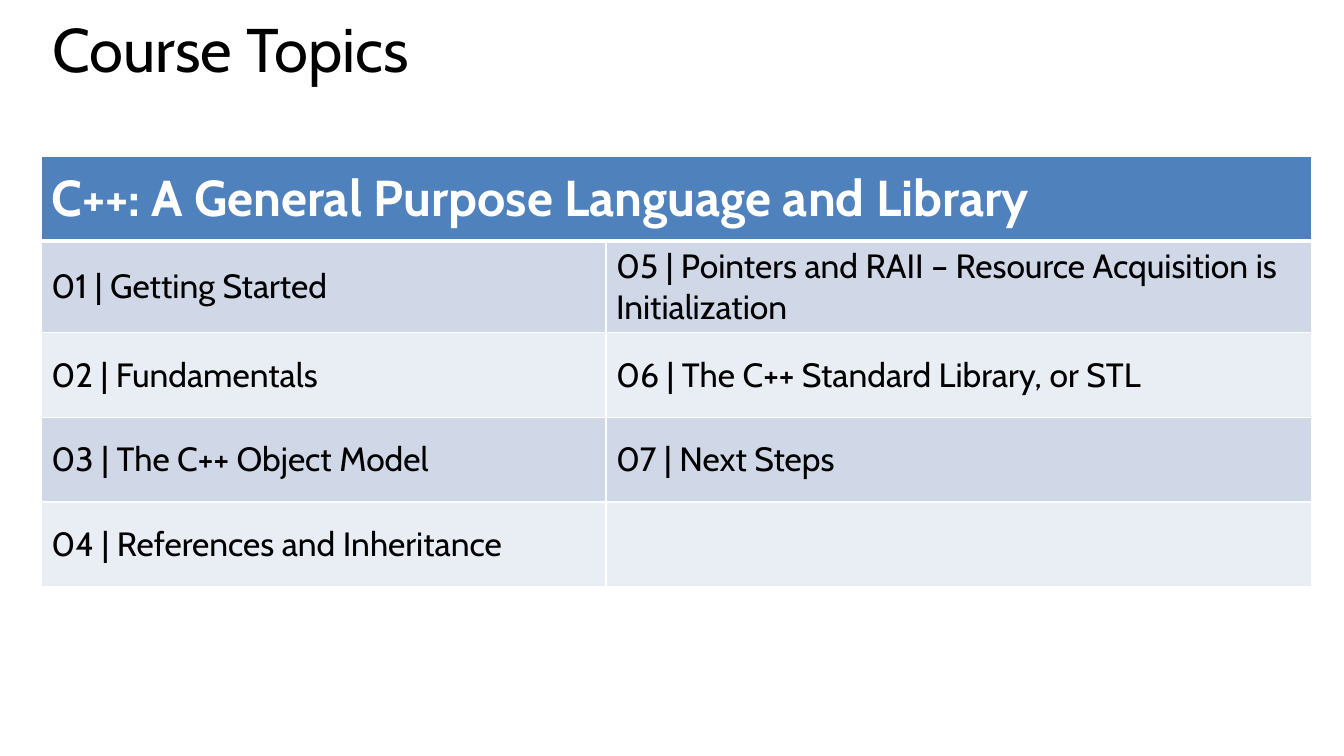
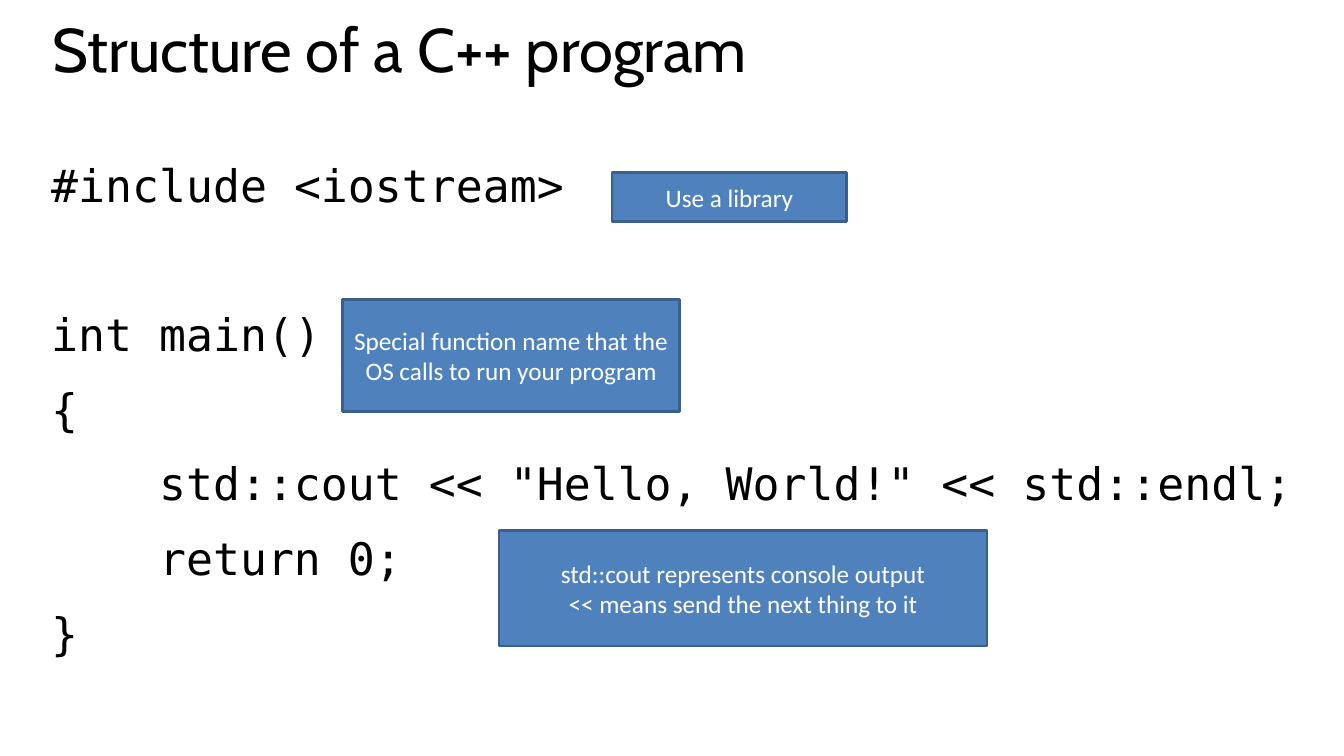
from dataclasses import dataclass

from lxml.etree import SubElement
from pptx import Presentation
from pptx.dml.color import RGBColor
from pptx.enum.shapes import MSO_SHAPE
from pptx.enum.text import MSO_ANCHOR, MSO_AUTO_SIZE, PP_ALIGN
from pptx.oxml.ns import qn
from pptx.util import Inches, Pt


@dataclass(frozen=True)
class Theme:
    """Colours, fonts and type sizes shared by the slides."""
    ink: str = "000000"
    paper: str = "FFFFFF"
    accent: str = "4F81BD"
    accent_edge: str = "3A5F8C"
    bands: tuple = ("D0D8E8", "E9EDF4")
    heading_font: str = "Cabin"
    code_font: str = "DejaVu Sans Mono"
    callout_font: str = "Calibri"
    title_size: int = 44
    header_size: int = 36
    code_size: int = 32
    topic_size: int = 24
    callout_size: int = 18


THEME = Theme()
TITLE_BOX = (0.42, 0.2, 12.6, 1.16)
TOPICS_BOX = (0.41, 1.55, 12.6, 4.2)
CODE_BOX = (0.41, 1.52, 12.6, 5.79)
TOPICS_HEADER = "C++: A General Purpose Language and Library"
TOPICS = [
    ("01 | Getting Started",
     "05 | Pointers and RAII – Resource Acquisition is Initialization"),
    ("02 | Fundamentals", "06 | The C++ Standard Library, or STL"),
    ("03 | The C++ Object Model", "07 | Next Steps"),
    ("04 | References and Inheritance", ""),
]
# Each line of code: text, indent level, blank lines above it
CODE = [
    ("#include <iostream>", 0, 0),
    ("int main()", 0, 1),
    ("{", 0, 0),
    ('std::cout << "Hello, World!" << std::endl;', 1, 0),
    ("return 0;", 1, 0),
    ("}", 0, 0),
]
CODE_INDENT = Inches(1.07)
CODE_GAP, CODE_PITCH = 15, 52.5
# Each callout: text, box within the code area
CALLOUTS = [
    ("Use a library", (5.66, 0.19, 2.33, 0.49)),
    ("Special function name that the OS calls to run your program",
     (2.99, 1.45, 3.34, 1.11)),
    ("std::cout represents console output\v<< means send the next thing to it",
     (4.54, 3.74, 4.84, 1.15)),
]


def rgb(colour):
    """Return the colour object for a hex string."""
    return RGBColor.from_string(colour)


def style_text(frame, font_name, size, colour, bold=False, align=PP_ALIGN.LEFT):
    """Format every run in a text frame alike."""
    for paragraph in frame.paragraphs:
        paragraph.alignment = align
        for run in paragraph.runs:
            font = run.font
            font.name, font.size, font.bold = font_name, Pt(size), bold
            font.color.rgb = rgb(colour)


def set_borders(cell, bottom_width):
    """Draw light rules round a cell, with its own bottom weight."""
    properties = cell._tc.get_or_add_tcPr()
    widths = {"a:lnL": 1, "a:lnR": 1, "a:lnT": 1, "a:lnB": bottom_width}
    for position, (side, width) in enumerate(widths.items()):
        rule = properties.makeelement(qn(side), {"w": str(Pt(width))})
        fill = SubElement(rule, qn("a:solidFill"))
        SubElement(fill, qn("a:srgbClr"), val=THEME.paper)
        properties.insert(position, rule)


def add_titled_slide(deck, heading):
    """Add a title-only slide with the shared title style."""
    slide = deck.slides.add_slide(deck.slide_layouts[5])
    slide.background.fill.solid()
    slide.background.fill.fore_color.rgb = rgb(THEME.paper)
    title = slide.shapes.title
    title.left, title.top, title.width, title.height = map(Inches, TITLE_BOX)
    frame = title.text_frame
    frame.text = heading
    frame.vertical_anchor = MSO_ANCHOR.TOP
    frame.auto_size = MSO_AUTO_SIZE.NONE
    frame.paragraphs[0].line_spacing = 0.8
    style_text(frame, THEME.heading_font, THEME.title_size, THEME.ink)
    return slide


def fill_cell(cell, text, size, colour, fill, bold=False, bottom_width=1):
    """Write and format one table cell."""
    cell.text = text
    cell.vertical_anchor = MSO_ANCHOR.MIDDLE
    cell.fill.solid()
    cell.fill.fore_color.rgb = rgb(fill)
    style_text(cell.text_frame, THEME.heading_font, size, colour, bold)
    set_borders(cell, bottom_width)


def add_topics(slide, box):
    """Lay out the banded table of topics under a merged header."""
    left, top, width, height = map(Inches, box)
    row_count = len(TOPICS) + 1
    table = slide.shapes.add_table(row_count, 2, left, top, width, height).table
    table.columns[0].width = Inches(5.6)
    table.columns[1].width = width - Inches(5.6)
    for cell in table.rows[0].cells:
        fill_cell(cell, "", THEME.header_size, THEME.paper, THEME.accent,
                  bottom_width=3)
    header = table.cell(0, 0)
    header.merge(table.cell(0, 1))
    header.text = TOPICS_HEADER
    style_text(header.text_frame, THEME.heading_font, THEME.header_size,
               THEME.paper, bold=True)
    for row, topics in enumerate(TOPICS):
        band = THEME.bands[row % len(THEME.bands)]
        for column, topic in enumerate(topics):
            fill_cell(table.cell(row + 1, column), topic, THEME.topic_size,
                      THEME.ink, band)


def add_code(slide, box):
    """Write the program, one paragraph to a line."""
    listing = slide.shapes.add_textbox(*map(Inches, box)).text_frame
    listing.word_wrap = True
    listing.text = "\n".join(text for text, _, _ in CODE)
    for paragraph, (_, level, blanks) in zip(listing.paragraphs, CODE):
        paragraph.space_before = Pt(CODE_GAP + blanks * CODE_PITCH)
        paragraph._p.get_or_add_pPr().set("marL", str(level * CODE_INDENT))
    style_text(listing, THEME.code_font, THEME.code_size, THEME.ink)


def add_callouts(slide, box):
    """Place the explanatory boxes relative to the code area."""
    for text, (x, y, width, height) in CALLOUTS:
        callout = slide.shapes.add_shape(
            MSO_SHAPE.RECTANGLE, Inches(box[0] + x), Inches(box[1] + y),
            Inches(width), Inches(height))
        callout.shadow.inherit = False
        callout.fill.solid()
        callout.fill.fore_color.rgb = rgb(THEME.accent)
        callout.line.color.rgb = rgb(THEME.accent_edge)
        callout.line.width = Pt(2)
        frame = callout.text_frame
        frame.text = text
        frame.word_wrap = True
        frame.vertical_anchor = MSO_ANCHOR.MIDDLE
        style_text(frame, THEME.callout_font, THEME.callout_size, THEME.paper,
                   align=PP_ALIGN.CENTER)


def build_topics_slide(deck):
    """Build the overview of the course."""
    slide = add_titled_slide(deck, "Course Topics")
    add_topics(slide, TOPICS_BOX)


def build_program_slide(deck):
    """Build the annotated first program."""
    slide = add_titled_slide(deck, "Structure of a C++ program")
    add_code(slide, CODE_BOX)
    add_callouts(slide, CODE_BOX)


def main():
    """Build and save the presentation."""
    deck = Presentation()
    deck.slide_width, deck.slide_height = Inches(13.33), Inches(7.5)
    build_topics_slide(deck)
    build_program_slide(deck)
    deck.save("out.pptx")


main()
